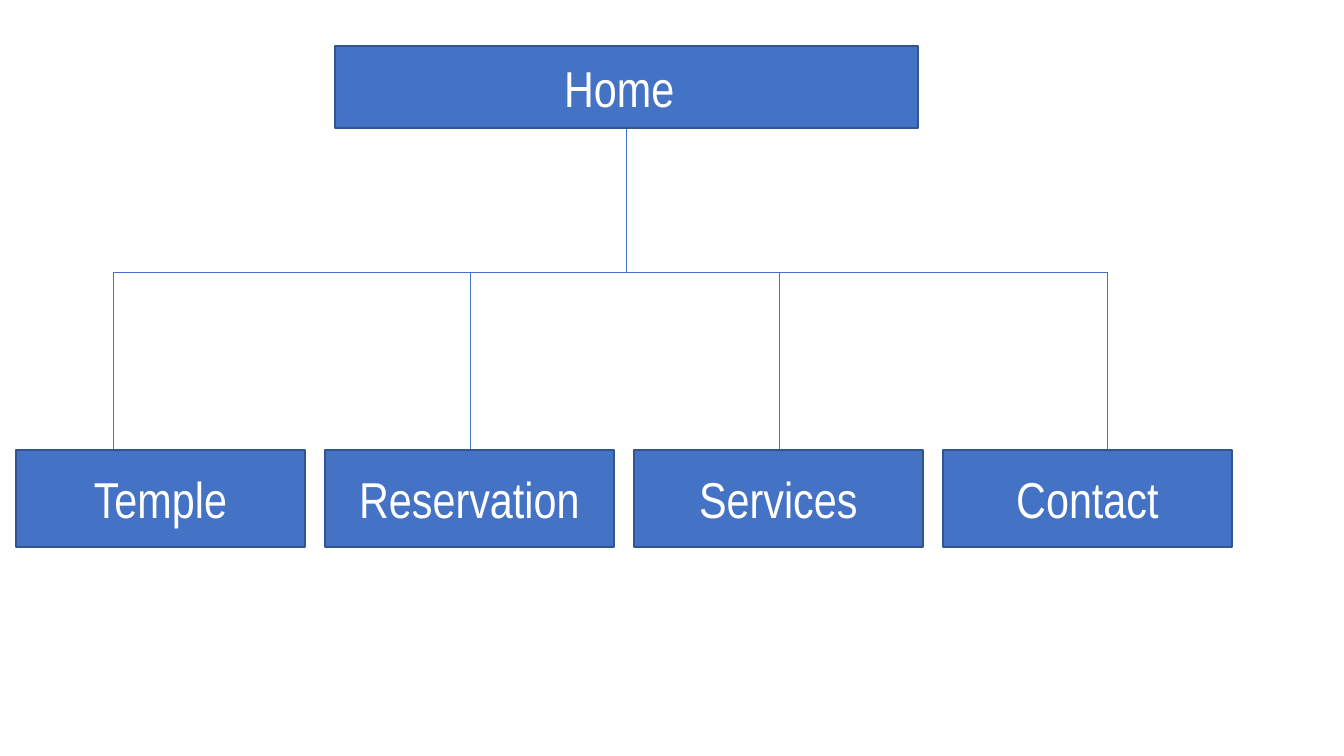
from pptx import Presentation
from pptx.dml.color import RGBColor
from pptx.enum.shapes import MSO_CONNECTOR as Connector, MSO_SHAPE as Preset
from pptx.enum.text import MSO_AUTO_SIZE as AutoSize, PP_ALIGN as Align
from pptx.oxml.ns import qn
from pptx.util import Pt
from lxml.etree import SubElement

COLOURS = {"box": "4472C4", "border": "325491", "label": "FFFFFF"}
EMU_PER_PIXEL = 914400 / 100.8


def emu(*pixels):
    return [round(pixel * EMU_PER_PIXEL) for pixel in pixels]


def colour(name):
    return RGBColor.from_string(COLOURS[name])


def apply(target, values):
    for name, value in values.items():
        setattr(target, name, value)


class Sitemap:
    font_format = {"name": "Arial Narrow", "size": Pt(36)}
    frame_format = {"word_wrap": True, "auto_size": AutoSize.SHAPE_TO_FIT_TEXT}

    def __init__(self, slide):
        self.slide = slide

    def box(self, left, top, width, height):
        shape = self.slide.shapes.add_shape(Preset.RECTANGLE, *emu(left, top, width, height))
        shape.shadow.inherit = False
        shape.fill.solid()
        shape.fill.fore_color.rgb = colour("box")
        shape.line.color.rgb = colour("border")
        shape.line.width = Pt(1)

    def label(self, text, left, top, width, height=72):
        shape = self.slide.shapes.add_textbox(*emu(left, top, width, height))
        apply(shape.text_frame, self.frame_format)
        paragraph = shape.text_frame.paragraphs[0]
        paragraph.alignment = Align.CENTER
        run = paragraph.add_run()
        run.text = text
        apply(run.font, self.font_format)
        run.font.color.rgb = colour("label")

    def line(self, start_x, start_y, end_x, end_y):
        connector = self.slide.shapes.add_connector(
            Connector.STRAIGHT, *emu(start_x, start_y, end_x, end_y))
        connector.line.color.rgb = colour("box")
        connector.line.width = Pt(0.5)
        SubElement(connector._element.spPr, qn("a:effectLst"))


presentation = Presentation()
presentation.slide_width, presentation.slide_height = emu(1344, 756)
sitemap = Sitemap(presentation.slides.add_slide(presentation.slide_layouts[6]))

BRANCH_Y, PAGE_TOP = 272, 450
PAGE_LEFT, PAGE_STEP, PAGE_WIDTH = 16, 309, 289
PAGES = {"Temple": 113, "Reservation": 470, "Services": 779, "Contact": 1107}

sitemap.box(335, 46, 583, 82)
sitemap.label("Home ", 420, 52, 410)
sitemap.line(626, 129, 626, BRANCH_Y)
sitemap.line(min(PAGES.values()), BRANCH_Y, max(PAGES.values()), BRANCH_Y)

for index, (page, drop_x) in enumerate(PAGES.items()):
    left = PAGE_LEFT + index * PAGE_STEP
    sitemap.line(drop_x, BRANCH_Y, drop_x, PAGE_TOP)
    sitemap.box(left, PAGE_TOP, PAGE_WIDTH, 97)
    sitemap.label(page, left, PAGE_TOP + 13, PAGE_WIDTH)

presentation.save("out.pptx")
